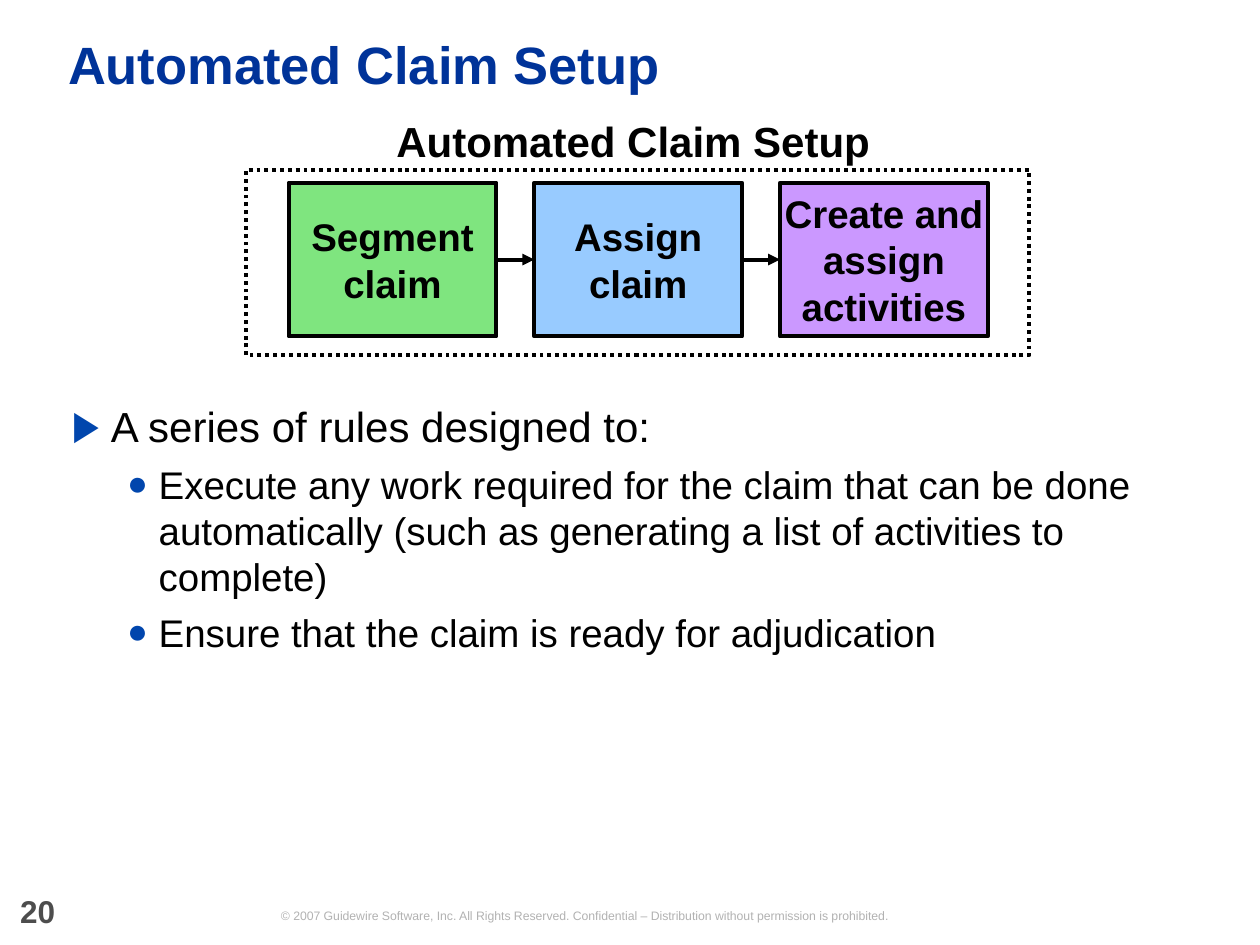
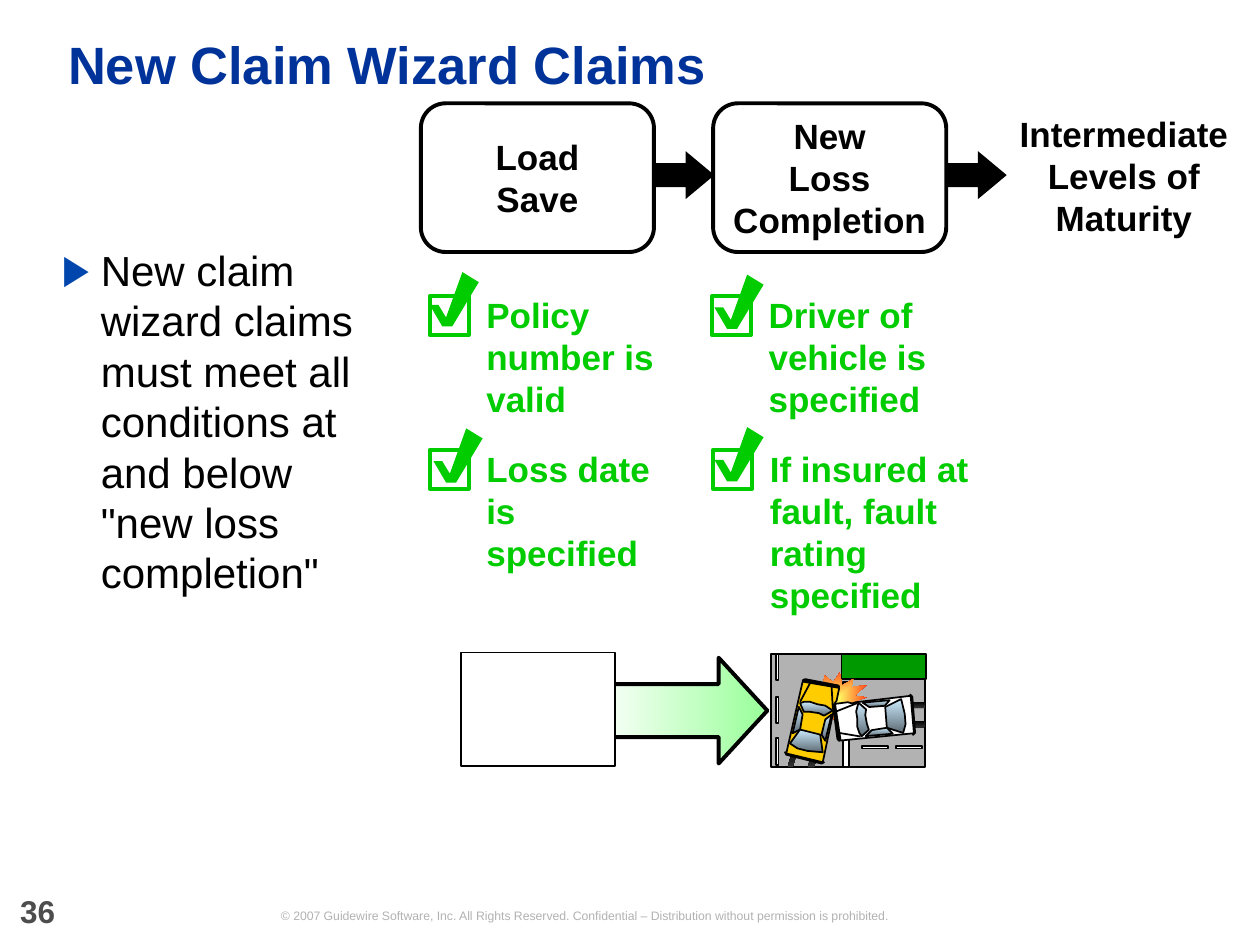
import math
from dataclasses import dataclass

from lxml import etree
from pptx import Presentation
from pptx import util as u
from pptx.dml.color import RGBColor
from pptx.enum import dml, shapes, text
from pptx.oxml.ns import qn


@dataclass(frozen=True)
class Theme:
    font: str = "Arial"
    title: str = "003399"
    bullet: str = "0146AD"
    black: str = "000000"
    white: str = "FFFFFF"
    number: str = "4D4D4D"
    grey: str = "B2B2B2"
    green: str = "00CC00"
    blue: str = "3399FF"
    purple: str = "9933FF"
    grass: str = "009900"
    taxi: str = "FFCC00"
    glass: tuple = ("CCECFF", "5E6C75", 270)
    tyre: tuple = ("000000", "333333", 270)
    arrow: tuple = ("99FF99", "FFFFFF", 180)
    flash: tuple = ("FFFF66", "FF0000", 0)
    title_size: int = 30
    body_size: int = 24
    sub_size: int = 22
    label_size: int = 20
    number_size: int = 18
    legal_size: int = 7
    thick: float = 2.25
    thin: float = 1


T = Theme()
KIND = shapes.MSO_SHAPE
CENTER = text.PP_ALIGN.CENTER
MIDDLE = text.MSO_ANCHOR.MIDDLE
LEGAL = ("© 2007 Guidewire Software, Inc. All Rights Reserved. "
         "Confidential – Distribution without permission is prohibited.")

CAR_REAR = [(-22, 24), (9, 32), (7, 33), (-21, 26)]
CAR_BODY = [(-8, -32), (-21, 25), (8, 32), (17, -11), (17, -14), (19, -17), (21, -27)]
CAR_FRONT = [(-8, -33), (-6, -34), (20, -29), (21, -28)]
CAR_WINDOWS = [
    [(-10, -15), (-7, -8), (-2, -8), (5, -7), (9, -5),
     (16, -9), (10, -13), (4, -14), (-2, -16), (-7, -16)],
    [(-10, 6), (-18, 17), (-12, 21), (-4, 23), (8, 24), (6, 10)],
    [(10, -2), (15, -6), (10, 15), (7, 10)],
    [(-8, -6), (-10, 6), (-16, 9), (-11, -12)],
]
CAR_HOOD = [((-10, -16), (-2, -31)), ((16, -10), (15, -28))]
TYRES = [
    [(104, 43), (122, 43), (122, 38), (105, 39)],
    [(104, 59), (122, 58), (122, 53), (105, 54)],
    [(18, 73), (13, 90), (17, 90), (22, 74)],
    [(33, 77), (29, 90), (34, 90), (38, 77)],
]
TICK = [(0, 26), (10, 43), (18, 43), (39, 8), (26, 0), (13, 36), (7, 26)]


def rgb(color):
    return RGBColor.from_string(color)


def paint(sp, fill=None, line=None, width=T.thick):
    sp.shadow.inherit = False
    if fill is None:
        sp.fill.background()
    elif isinstance(fill, tuple):
        sp.fill.gradient()
        sp.fill.gradient_angle = fill[2]
        for stop, color in zip(sp.fill.gradient_stops, fill):
            stop.color.rgb = rgb(color)
    else:
        sp.fill.solid()
        sp.fill.fore_color.rgb = rgb(fill)
    if line is None:
        sp.line.fill.background()
    else:
        sp.line.color.rgb = rgb(line)
        sp.line.width = u.Pt(width)
    return sp


def add_shape(parent, kind, box, fill=None, line=None, width=T.thick):
    sp = parent.add_shape(kind, *map(u.Inches, box))
    return paint(sp, fill, line, width)


def add_outline(parent, left, top, points, fill, line=None):
    pts = [(u.Inches(left + x / 100), u.Inches(top + y / 100)) for x, y in points]
    builder = parent.build_freeform(*pts[0])
    builder.add_line_segments(pts[1:], close=True)
    return paint(builder.convert_to_shape(), fill, line, T.thin)


def add_line(parent, x1, y1, x2, y2, width):
    sp = parent.add_connector(shapes.MSO_CONNECTOR.STRAIGHT, *map(u.Inches, (x1, y1, x2, y2)))
    sp.line.color.rgb = rgb(T.black)
    sp.line.width = u.Pt(width)
    etree.SubElement(sp.element.spPr, qn("a:effectLst"))
    return sp


def format_paragraph(p, size, color, bold=False):
    for r in p.runs:
        r.font.name = T.font
        r.font.size = u.Pt(size)
        r.font.bold = bold
        r.font.color.rgb = rgb(color)


def set_text(sp, content, size, color=T.black, bold=True, align=None, anchor=text.MSO_ANCHOR.TOP):
    tf = sp.text_frame
    tf.word_wrap = True
    tf.margin_left = tf.margin_right = tf.margin_top = tf.margin_bottom = 0
    tf.vertical_anchor = anchor
    p = tf.paragraphs[0]
    p.text = content
    p.alignment = align
    format_paragraph(p, size, color, bold)
    return p


def add_text(sl, box, content, size, **style):
    return set_text(sl.shapes.add_textbox(*map(u.Inches, box)), content, size, **style)


def add_bullet(p, char, indent, hang, percent):
    pPr = p._p.get_or_add_pPr()
    pPr.set("marL", str(u.Inches(indent)))
    pPr.set("indent", str(-u.Inches(hang)))
    color = etree.SubElement(pPr, qn("a:buClr"))
    etree.SubElement(color, qn("a:srgbClr"), val=T.bullet)
    etree.SubElement(pPr, qn("a:buSzPct"), val=str(percent * 1000))
    etree.SubElement(pPr, qn("a:buFont"), typeface=T.font)
    etree.SubElement(pPr, qn("a:buChar"), char=char)


def add_body(sl, box, items):
    tf = sl.shapes.add_textbox(*map(u.Inches, box)).text_frame
    tf.word_wrap = True
    tf.margin_left = tf.margin_right = tf.margin_top = tf.margin_bottom = 0
    for i, (level, content) in enumerate(items):
        p = tf.add_paragraph() if i else tf.paragraphs[0]
        p.text = content
        p.level = level
        if level:
            add_bullet(p, "●", 0.69, 0.25, 90)
        else:
            add_bullet(p, "▶", 0.31, 0.31, 100)
        if i:
            p.space_before = u.Pt(5.5 if level else 12)
        format_paragraph(p, T.sub_size if level else T.body_size, T.black)


def add_slide(prs, title, number):
    sl = prs.slides.add_slide(prs.slide_layouts[6])
    add_text(sl, (1.19, 7.21, 6.9, 0.12), LEGAL, T.legal_size,
             color=T.grey, bold=False, align=CENTER, anchor=MIDDLE)
    p = add_text(sl, (0.16, 7.13, 0.57, 0.25), number, T.number_size, color=T.number)
    p.line_spacing = u.Pt(18)
    p = add_text(sl, (0.54, 0.13, 9.1, 0.81), title, T.title_size, color=T.title, anchor=MIDDLE)
    p.line_spacing = 0.9
    return sl


def add_setup_flow(sl, left, top):
    frame = add_shape(sl.shapes, KIND.RECTANGLE, (left, top, 6.22, 1.47), T.white, T.black)
    frame.line.dash_style = dml.MSO_LINE.ROUND_DOT
    steps = [("Segment\nclaim", T.green), ("Assign\nclaim", T.blue),
             ("Create and assign activities", T.purple)]
    boxes = []
    for i, (label, color) in enumerate(steps):
        sp = add_shape(sl.shapes, KIND.RECTANGLE,
                       (left + 0.34 + 1.95 * i, top + 0.1, 1.65, 1.22), color, T.black)
        tint = sp.element.spPr.find(qn("a:solidFill"))[0]
        etree.SubElement(tint, qn("a:alpha"), val="50000")
        set_text(sp, label, T.sub_size, align=CENTER, anchor=MIDDLE)
        boxes.append(sp)
    for before, after in zip(boxes, boxes[1:]):
        link = add_line(sl.shapes, 0, 0, 1, 1, T.thick)
        link.begin_connect(before, 3)
        link.end_connect(after, 1)
        etree.SubElement(link.element.spPr.find(qn("a:ln")), qn("a:tailEnd"), type="triangle")
    add_text(sl, (left + 0.89, top - 0.43, 4.37, 0.4), "Automated Claim Setup",
             T.body_size, align=CENTER)


def add_maturity_levels(sl, left, top):
    pitch = 2.32
    for i, label in enumerate(["Load\nSave", "New\nLoss\nCompletion"]):
        x = left + pitch * i
        sp = add_shape(sl.shapes, KIND.ROUNDED_RECTANGLE, (x, top, 1.85, 1.18), None, T.black)
        set_text(sp, label, T.label_size, align=CENTER, anchor=MIDDLE)
        arrow = add_shape(sl.shapes, KIND.RIGHT_ARROW, (x + 1.86, top + 0.38, 0.47, 0.38), T.black)
        arrow.adjustments[0], arrow.adjustments[1] = 0.5, 0.6
    add_text(sl, (left + 2 * pitch + 0.03, top + 0.07, 1.82, 1), "Intermediate\nLevels of\nMaturity",
             T.label_size, align=CENTER)


def add_check(sl, left, top, label, width, tick_dx, tick_dy):
    add_text(sl, (left + 0.45, top - 0.02, width, 1), label, T.label_size, color=T.green)
    add_shape(sl.shapes, KIND.RECTANGLE, (left, top, 0.31, 0.31), None, T.green)
    add_outline(sl.shapes, left + tick_dx, top + tick_dy, TICK, T.green)


def add_car(parent, left, top, angle, color):
    cos, sin = math.cos(math.radians(angle)), math.sin(math.radians(angle))

    def turn(points):
        return [(x * cos - y * sin, x * sin + y * cos) for x, y in points]

    parts = [(CAR_REAR, T.grey), (CAR_BODY, color), (CAR_FRONT, T.grey)]
    parts += [(window, T.glass) for window in CAR_WINDOWS]
    for points, fill in parts:
        add_outline(parent, left, top, turn(points), fill, T.black)
    for crease in CAR_HOOD:
        (x1, y1), (x2, y2) = turn(crease)
        add_line(parent, left + x1 / 100, top + y1 / 100, left + x2 / 100, top + y2 / 100, T.thin)


def add_crash_scene(sl, left, top):
    scene = sl.shapes.add_group_shape().shapes

    def block(x, y, w, h, color):
        add_shape(scene, KIND.RECTANGLE, (left + x, top + y, w, h), color, T.black, T.thin)

    block(0, 0, 1.22, 0.9, T.grey)
    for tyre in TYRES:
        add_outline(scene, left, top, tyre, T.tyre)
    block(0.56, 0, 0.67, 0.2, T.grass)
    block(0.57, 0.22, 0.05, 0.68, T.white)
    for y in (0, 0.34, 0.67):
        block(0.04, y, 0.02, 0.21, T.white)
    for x in (0.72, 0.99):
        block(x, 0.73, 0.21, 0.02, T.white)
    flash = add_shape(scene, KIND.EXPLOSION2, (left + 0.3, top + 0.12, 0.46, 0.47), T.flash)
    flash.rotation = 44.7
    grad = flash.element.spPr.find(qn("a:gradFill"))
    grad.remove(grad.find(qn("a:lin")))
    ring = etree.SubElement(grad, qn("a:path"), path="rect")
    etree.SubElement(ring, qn("a:fillToRect"), l="50000", t="50000", r="50000", b="50000")
    add_car(scene, left + 0.33, top + 0.54, 0, T.taxi)
    add_car(scene, left + 0.83, top + 0.51, 251.5, T.white)


def add_claim_story(sl, left, top):
    arrow = add_shape(sl.shapes, KIND.RIGHT_ARROW, (left + 1.04, top + 0.04, 1.39, 0.84),
                      T.arrow, T.black)
    arrow.adjustments[0], arrow.adjustments[1] = 0.5, 0.46
    add_shape(sl.shapes, KIND.RECTANGLE, (left, top, 1.22, 0.9), T.white, T.black, T.thin)
    add_crash_scene(sl, left + 2.46, top + 0.01)


def build_setup_slide(prs):
    sl = add_slide(prs, "Automated Claim Setup", "20")
    add_body(sl, (0.57, 3.18, 9.1, 3.81), [
        (0, "A series of rules designed to:"),
        (1, "Execute any work required for the claim that can be done automatically "
            "(such as generating a list of activities to complete)"),
        (1, "Ensure that the claim is ready for adjudication"),
    ])
    add_setup_flow(sl, 1.95, 1.35)


def build_wizard_slide(prs):
    sl = add_slide(prs, "New Claim Wizard Claims", "36")
    add_maturity_levels(sl, 3.34, 0.82)
    add_check(sl, 5.65, 2.35, "Driver of vehicle is specified", 1.4, 0.02, -0.17)
    add_check(sl, 5.66, 3.57, "If insured at fault, fault rating specified", 1.58, 0.01, -0.18)
    add_check(sl, 3.41, 2.35, "Policy number is valid", 1.4, 0, -0.19)
    add_check(sl, 3.41, 3.57, "Loss date is specified", 1.4, 0.03, -0.17)
    add_claim_story(sl, 3.66, 5.18)
    add_body(sl, (0.49, 1.94, 2.58, 4.81), [
        (0, 'New claim wizard claims must meet all conditions at and below "new loss completion"'),
    ])


def main():
    prs = Presentation()
    prs.slide_width, prs.slide_height = u.Inches(10), u.Inches(7.5)
    build_setup_slide(prs)
    build_wizard_slide(prs)
    prs.save("out.pptx")


if __name__ == "__main__":
    main()
